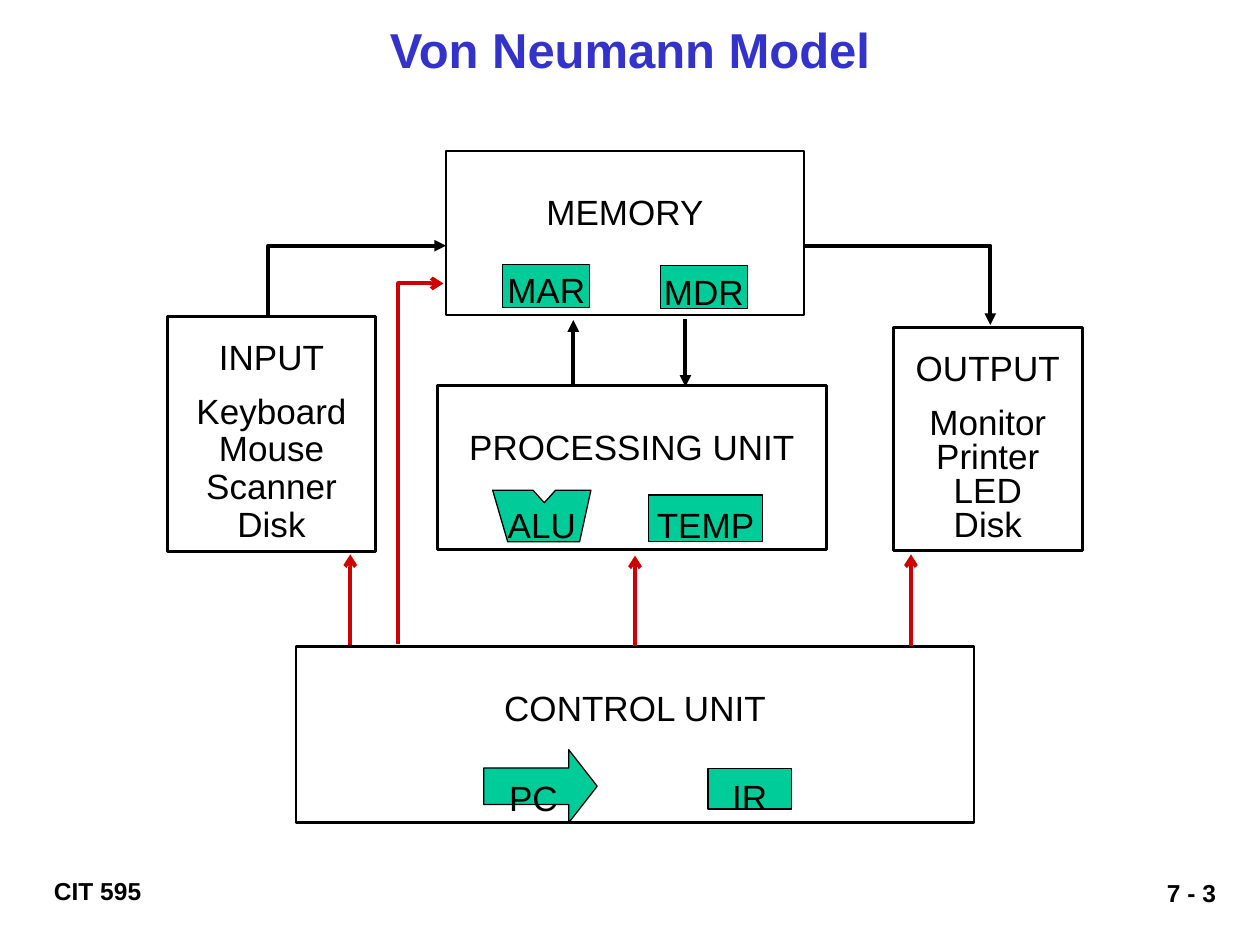
"""Build the Von Neumann Model slide: five units, their registers and the signals between them."""
from lxml import etree
from pptx import Presentation
from pptx.dml import color
from pptx.enum import shapes, text
from pptx.oxml import ns
from pptx import util as u

COLORS = {"ink": "000000", "title": "3333CC", "register": "00CC99", "control": "CE0000"}
RGB = {name: color.RGBColor.from_string(value) for name, value in COLORS.items()}

deck = Presentation()
deck.slide_width, deck.slide_height = u.Inches(10), u.Inches(7.5)
CELL = deck.slide_width / 100
slide = deck.slides.add_slide(deck.slide_layouts[5])
RECT, ARROW = shapes.MSO_SHAPE.RECTANGLE, shapes.MSO_SHAPE.RIGHT_ARROW
CENTER, RIGHT = text.PP_ALIGN.CENTER, text.PP_ALIGN.RIGHT
TOP, MIDDLE = text.MSO_ANCHOR.TOP, text.MSO_ANCHOR.MIDDLE


def grid(*cells):
    """Turn grid columns and rows into slide lengths."""
    return [round(cell * CELL) for cell in cells]


def write(holder, lines, align=CENTER, size=20, bold=False, ink="ink", **frame_format):
    """Fill a shape with (wording, line spacing) pairs."""
    frame = holder.text_frame
    for name, value in frame_format.items():
        setattr(frame, name, value)
    for row, (wording, spacing) in enumerate(lines):
        line = frame.paragraphs[0] if row == 0 else frame.add_paragraph()
        line.text, line.alignment, line.line_spacing = wording, align, spacing
        font_format = {"name": "Arial", "size": u.Pt(size), "bold": bold}
        for name, value in font_format.items():
            setattr(line.font, name, value)
        line.font.color.rgb = RGB[ink]


title = slide.shapes.title
title.left, title.top, title.width, title.height = grid(2.5, 1, 95, 5.8)
write(title, [("Von Neumann Model", 1.0)], size=28, bold=True, ink="title",
      vertical_anchor=MIDDLE, auto_size=text.MSO_AUTO_SIZE.NONE)

for wording, place, align, wrap in [
    ("CIT 595", (3.3, 69, 8.9, 3.4), CENTER, False),
    ("7 - 3", (71.7, 69.2, 25.8, 4.2), RIGHT, True),
]:
    write(slide.shapes.add_textbox(*grid(*place)), [(wording, 1.0)], align, 14, True,
          word_wrap=wrap)

units = {}
for name, place, spacing, devices, device_spacing in [
    ("MEMORY", (35.4, 12, 28.4, 13), 1.8, [], 1),
    ("INPUT", (13.3, 25.1, 16.5, 18.7), 1.3, ["Keyboard", "Mouse", "Scanner", "Disk"], 0.9),
    ("OUTPUT", (70.9, 26, 15, 17.7), 1.3, ["Monitor", "Printer", "LED", "Disk"], 0.8),
    ("PROCESSING UNIT", (34.7, 30.6, 30.9, 13), 1.8, [], 1),
    ("CONTROL UNIT", (23.5, 51.3, 53.8, 14), 1.8, [], 1),
]:
    unit = units[name] = slide.shapes.add_shape(RECT, *grid(*place))
    unit.shadow.inherit = False
    unit.fill.background()
    unit.line.color.rgb, unit.line.width = RGB["ink"], u.Pt(1.5)
    lines = [(name, spacing)] + [
        (device, device_spacing if row else spacing) for row, device in enumerate(devices)
    ]
    write(unit, lines, vertical_anchor=TOP, word_wrap=False)

alu_outline = [grid(*point) for point in [
    (39.1, 38.9), (42.3, 38.9), (43.2, 39.9), (44.1, 38.9), (46.9, 38.9), (46, 43), (40.3, 43),
]]
alu = slide.shapes.build_freeform(*alu_outline[0])
alu.add_line_segments(alu_outline[1:], close=True)
registers = [("ALU", alu.convert_to_shape(), 1.3)]
for name, preset, place, drop in [
    ("MAR", RECT, (39.9, 21, 6.9, 3.4), 0.6),
    ("MDR", RECT, (52.4, 21.1, 6.9, 3.4), 0.6),
    ("TEMP", RECT, (51.5, 39.3, 9, 3.7), 0.9),
    ("IR", RECT, (56.2, 61, 6.6, 3.2), 1.3),
    ("PC", ARROW, (38.4, 59.5, 9, 5.8), 1.8),
]:
    registers.append((name, slide.shapes.add_shape(preset, *grid(*place)), drop))
    if preset == ARROW:
        registers[-1][1].adjustments[1] = 0.39

for name, register, drop in registers:
    register.shadow.inherit = False
    register.fill.solid()
    register.fill.fore_color.rgb = RGB["register"]
    register.line.color.rgb, register.line.width = RGB["ink"], u.Pt(0.75)
    write(register, [(name, 1.0)], vertical_anchor=MIDDLE, word_wrap=False, margin_left=0,
          margin_right=0, margin_top=grid(drop)[0], margin_bottom=0)

for ink, head, points in [
    ("control", "arrow", [(27.8, 51.2), (27.8, 44)]),
    ("control", "arrow", [(50.4, 51.3), (50.4, 44.1)]),
    ("control", "arrow", [(72.3, 51.3), (72.3, 44)]),
    ("control", "arrow", [(31.6, 51.1), (31.6, 22.5), (35.2, 22.5)]),
    ("ink", "triangle", [(21.3, 25), (21.3, 19.5), (35.4, 19.5)]),
    ("ink", "triangle", [(63.9, 19.5), (78.6, 19.5), (78.6, 25.8)]),
    ("ink", "triangle", [(45.5, 30.7), (45.5, 25.4)]),
    ("ink", "triangle", [(54.4, 25.3), (54.4, 30.7)]),
]:
    start, *bends = [grid(*point) for point in points]
    if len(bends) == 1:
        signal = slide.shapes.add_connector(shapes.MSO_CONNECTOR.STRAIGHT, *start, *bends[0])
        if points[0] == (50.4, 51.3):
            signal.begin_connect(units["CONTROL UNIT"], 0)
    else:
        route = slide.shapes.build_freeform(*start)
        route.add_line_segments(bends, close=False)
        signal = route.convert_to_shape()
        signal.fill.background()
        signal.shadow.inherit = False
    signal.line.color.rgb, signal.line.width = RGB[ink], u.Pt(2.25)
    properties = signal._element.spPr
    etree.SubElement(properties.find(ns.qn("a:ln")), ns.qn("a:tailEnd"), type=head)
    if len(bends) == 1:
        etree.SubElement(properties, ns.qn("a:effectLst"))

deck.save("out.pptx")
